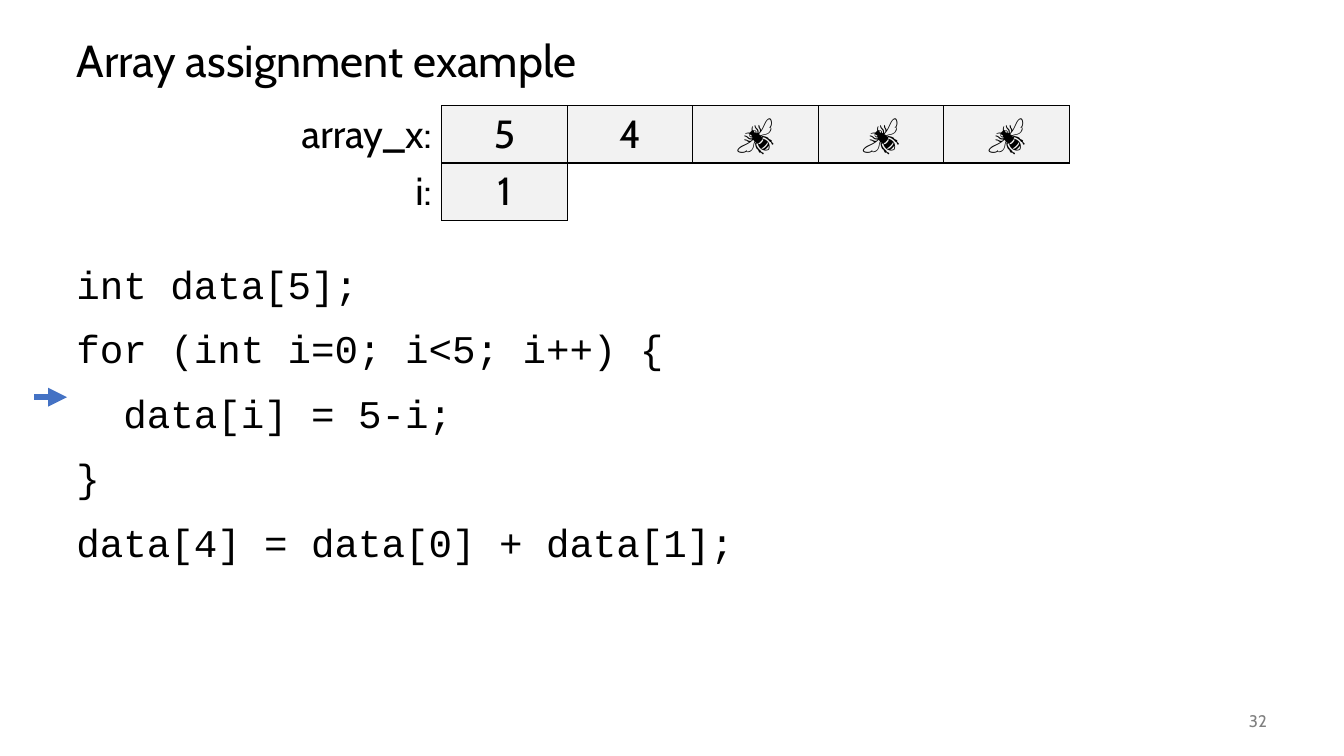
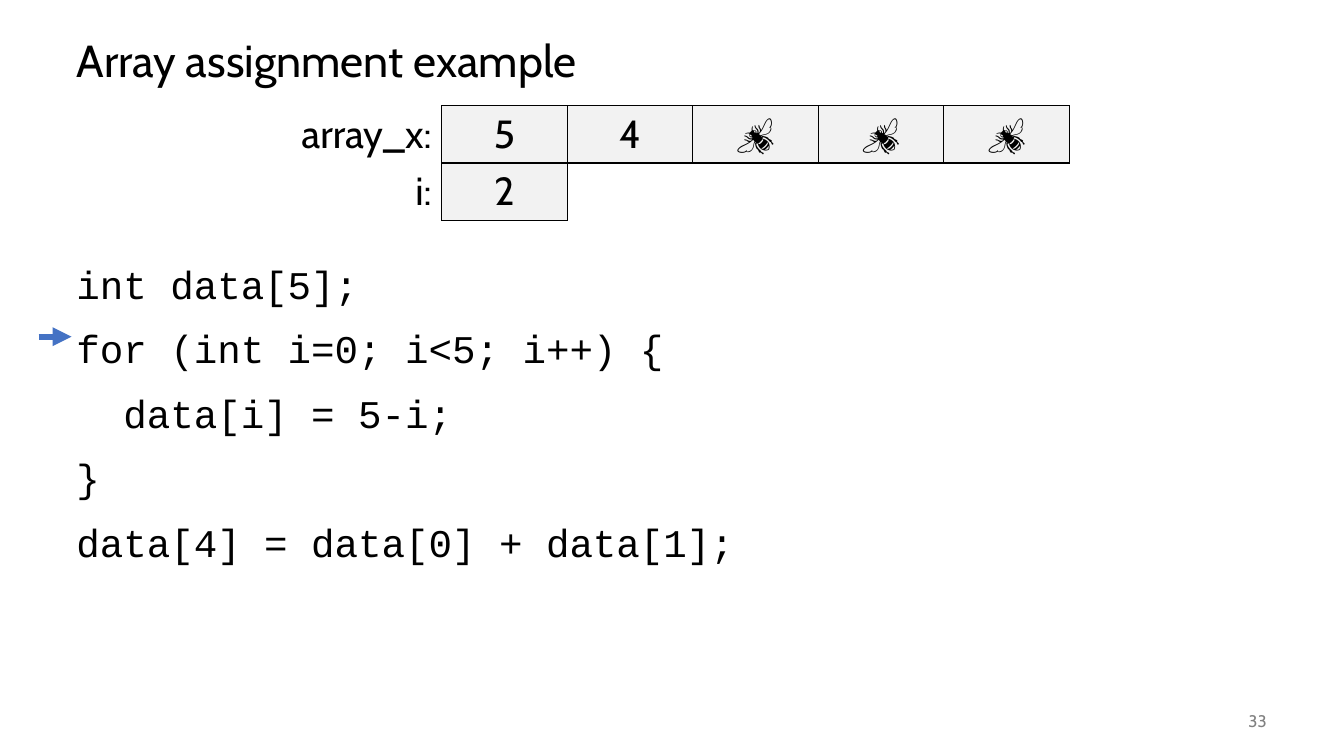
from dataclasses import dataclass
from typing import Optional

from lxml.etree import SubElement
from pptx import Presentation
from pptx.dml.color import RGBColor
from pptx.enum.shapes import MSO_CONNECTOR
from pptx.enum.text import MSO_ANCHOR, MSO_AUTO_SIZE, PP_ALIGN
from pptx.oxml.ns import qn
from pptx.slide import Slide
from pptx.table import _Cell as Cell
from pptx.text.text import _Paragraph as Paragraph
from pptx.util import Pt

BLACK = RGBColor(0x00, 0x00, 0x00)
GRAY = RGBColor(0x80, 0x80, 0x80)
PALE_GRAY = RGBColor(0xF2, 0xF2, 0xF2)
BLUE = RGBColor(0x44, 0x72, 0xC4)

TEXT_FONT = "Cabin"
CODE_FONT = "Courier New"
TITLE = "Array assignment example"
MARGIN_LEFT = 47.5
CONTENT_WIDTH = 864
LABEL_WIDTH = 119.5
VALUE_WIDTH = 89.7
ROW_HEIGHT = 40
ARROW_LENGTH = 23.5
UNSET = "🐝"
CODE = (
    "int data[5];",
    "for (int i=0; i<5; i++) {",
    "  data[i] = 5-i;",
    "}",
    "data[4] = data[0] + data[1];",
)


@dataclass(frozen=True)
class Step:
    number: int
    array: tuple[str, ...]
    index: str
    arrow_left: float
    arrow_y: float


STEPS = (
    Step(32, ("5", "4", UNSET, UNSET, UNSET), "1", 24.4, 283.7),
    Step(33, ("5", "4", UNSET, UNSET, UNSET), "2", 27.6, 240.5),
)


def style(paragraph: Paragraph, size: float, font: str = TEXT_FONT,
          color: RGBColor = BLACK, align: PP_ALIGN = PP_ALIGN.LEFT) -> None:
    paragraph.alignment = align
    paragraph.font.name = font
    paragraph.font.size = Pt(size)
    paragraph.font.color.rgb = color


def add_title(slide: Slide) -> None:
    title = slide.shapes.title
    title.left, title.top = Pt(MARGIN_LEFT), Pt(18)
    title.width, title.height = Pt(CONTENT_WIDTH), Pt(54)
    frame = title.text_frame
    frame.text = TITLE
    frame.auto_size = MSO_AUTO_SIZE.NONE
    frame.vertical_anchor = MSO_ANCHOR.MIDDLE
    heading = frame.paragraphs[0]
    heading.line_spacing = 0.9
    style(heading, 32)


def add_code(slide: Slide) -> None:
    code = slide.shapes.add_textbox(Pt(MARGIN_LEFT), Pt(186), Pt(CONTENT_WIDTH), Pt(300))
    frame = code.text_frame
    frame.word_wrap = True
    frame.text = "\n".join(CODE)
    for position, line in enumerate(frame.paragraphs):
        line.line_spacing = 0.9
        line.space_before = Pt(15.8 if position else 0)
        style(line, 28, CODE_FONT)


def add_number(slide: Slide, number: int) -> None:
    footer = slide.shapes.add_textbox(Pt(840), Pt(500.5), Pt(72), Pt(28.8))
    frame = footer.text_frame
    frame.word_wrap = True
    frame.vertical_anchor = MSO_ANCHOR.MIDDLE
    frame.text = str(number)
    style(frame.paragraphs[0], 12, color=GRAY, align=PP_ALIGN.RIGHT)


def set_border(cell: Cell, side: str, color: Optional[RGBColor]) -> None:
    properties = cell._tc.get_or_add_tcPr()
    border = SubElement(properties, qn(f"a:ln{side}"), w=str(Pt(1)))
    if color is None:
        SubElement(border, qn("a:noFill"))
    else:
        solid = SubElement(border, qn("a:solidFill"))
        SubElement(solid, qn("a:srgbClr"), val=str(color))


def add_memory(slide: Slide, step: Step) -> None:
    rows = (("array_x:", *step.array), ("i:", step.index))
    columns = len(rows[0])
    table = slide.shapes.add_table(
        len(rows), columns, Pt(196), Pt(75.6),
        Pt(LABEL_WIDTH + VALUE_WIDTH * len(step.array)), Pt(ROW_HEIGHT * len(rows)),
    ).table
    table.first_row = False
    table.horz_banding = False
    for position, column in enumerate(table.columns):
        column.width = Pt(VALUE_WIDTH if position else LABEL_WIDTH)

    def holds_value(row: int, column: int) -> bool:
        return 0 <= row < len(rows) and 0 < column < len(rows[row])

    for row, texts in enumerate(rows):
        for column in range(columns):
            cell = table.cell(row, column)
            boxed = holds_value(row, column)
            neighbours = {
                "L": (row, column - 1),
                "R": (row, column + 1),
                "T": (row - 1, column),
                "B": (row + 1, column),
            }
            for side, neighbour in neighbours.items():
                set_border(cell, side, BLACK if boxed or holds_value(*neighbour) else None)
            if boxed:
                cell.fill.solid()
                cell.fill.fore_color.rgb = PALE_GRAY
            else:
                cell.fill.background()
            if column < len(texts):
                cell.text = texts[column]
                style(cell.text_frame.paragraphs[0], 28,
                      align=PP_ALIGN.CENTER if boxed else PP_ALIGN.RIGHT)


def add_arrow(slide: Slide, left: float, y: float) -> None:
    arrow = slide.shapes.add_connector(
        MSO_CONNECTOR.STRAIGHT, Pt(left), Pt(y), Pt(left + ARROW_LENGTH), Pt(y))
    arrow.line.color.rgb = BLUE
    arrow.line.width = Pt(4.5)
    SubElement(arrow.line._get_or_add_ln(), qn("a:tailEnd"), type="triangle")
    SubElement(arrow._element.spPr, qn("a:effectLst"))


def main() -> None:
    presentation = Presentation()
    presentation.slide_width, presentation.slide_height = Pt(960), Pt(540)
    title_only = presentation.slide_layouts.get_by_name("Title Only")
    for step in STEPS:
        slide = presentation.slides.add_slide(title_only)
        add_title(slide)
        add_code(slide)
        add_number(slide, step.number)
        add_memory(slide, step)
        add_arrow(slide, step.arrow_left, step.arrow_y)
    presentation.save("out.pptx")


if __name__ == "__main__":
    main()
